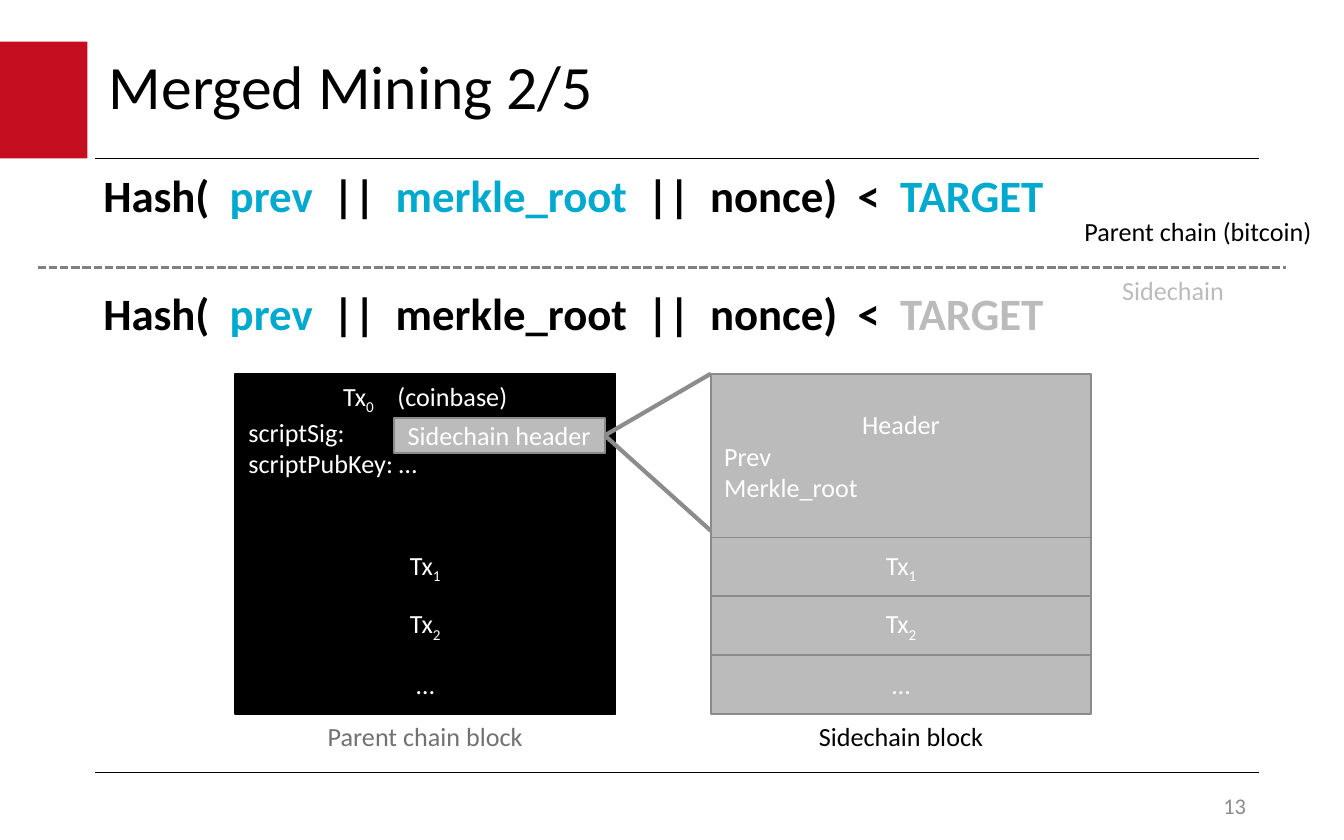
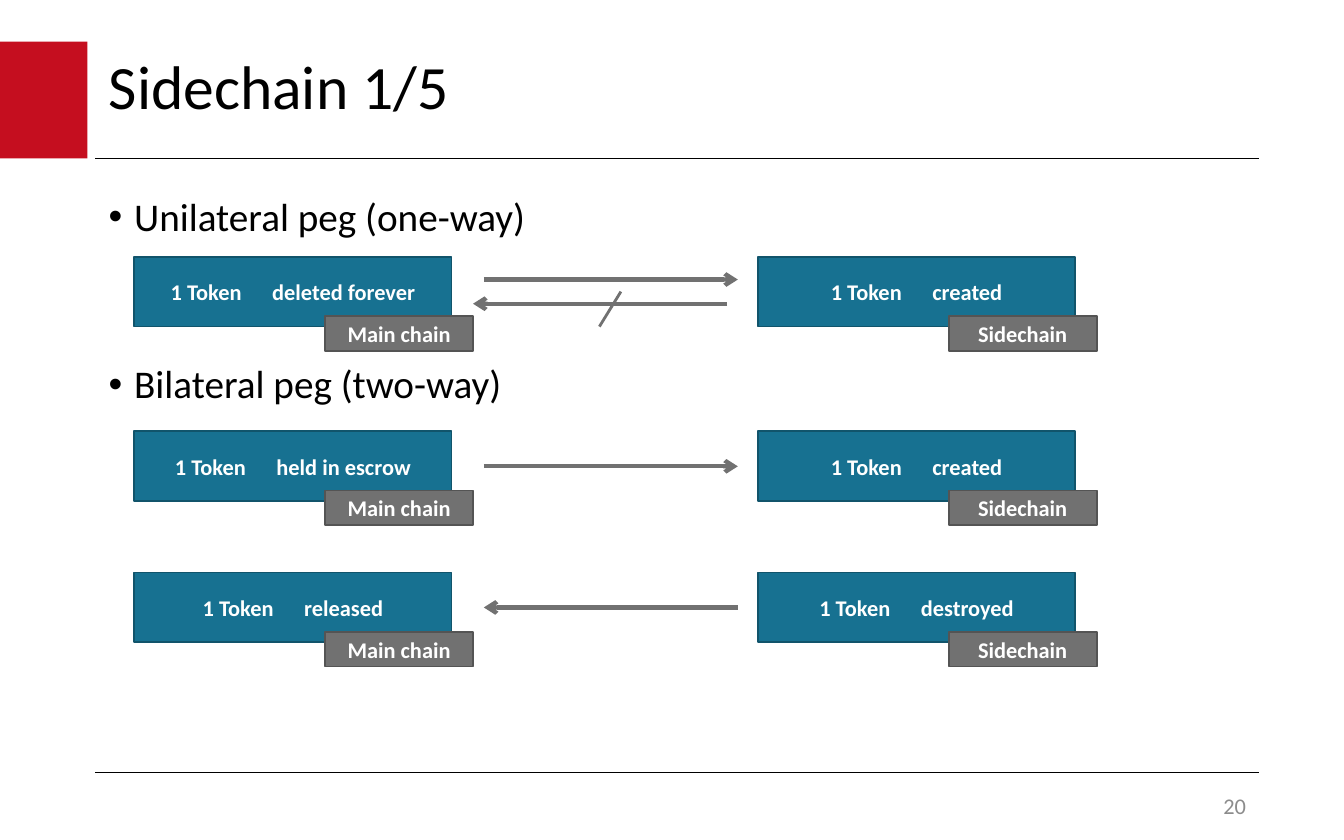
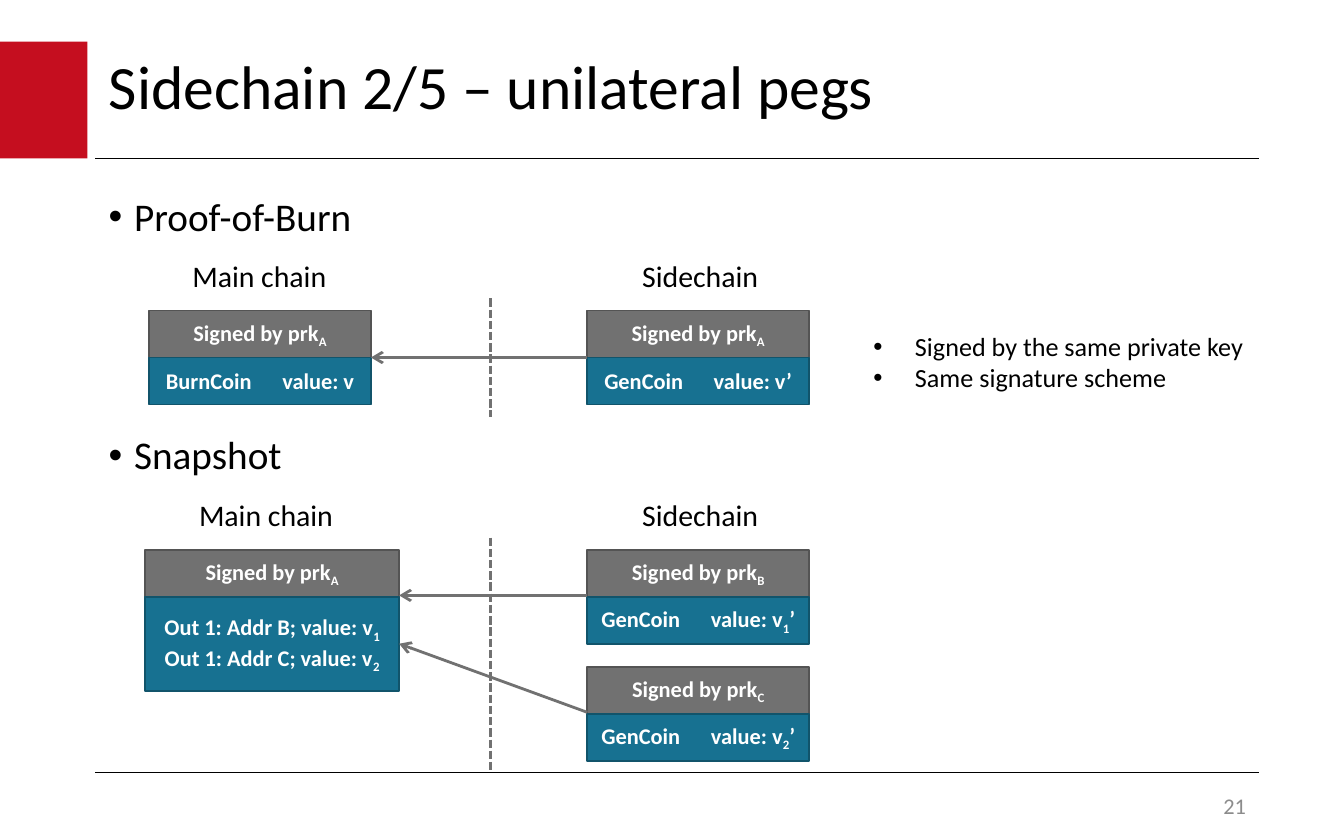
from dataclasses import dataclass, field
from typing import Any, List, Optional, Sequence, Union

from lxml.etree import SubElement
from pptx import Presentation
from pptx.dml.color import RGBColor
from pptx.enum.dml import MSO_LINE
from pptx.enum.shapes import MSO_CONNECTOR, MSO_SHAPE
from pptx.enum.text import MSO_ANCHOR, MSO_AUTO_SIZE, PP_ALIGN
from pptx.oxml.ns import qn
from pptx.util import Inches, Pt


# Theme: colours, font and type sizes
@dataclass(frozen=True)
class Theme:
    font: str = "Calibri"
    black: str = "000000"
    white: str = "FFFFFF"
    red: str = "C50E1F"
    cyan: str = "00A9CE"
    teal: str = "177191"
    teal_edge: str = "11546B"
    dark: str = "717171"
    dark_edge: str = "545454"
    light: str = "BBBBBB"
    light_edge: str = "8A8A8A"
    muted: str = "8C8C8C"
    divider: str = "808080"
    title: float = 33
    formula: float = 24
    body: float = 21
    label: float = 16
    normal: float = 14
    small: float = 12


THEME = Theme()


# Text model
@dataclass(frozen=True)
class Span:
    text: str
    color: Optional[str] = None
    subscript: bool = False
    spacing: float = 0


@dataclass(frozen=True)
class Line:
    spans: Sequence[Span]
    align: Any = PP_ALIGN.CENTER
    bullet_indent: float = 0
    space_before: float = 0
    line_spacing: float = 1


@dataclass(frozen=True)
class Style:
    size: float
    color: str = THEME.black
    bold: bool = False


@dataclass(frozen=True)
class Look:
    fill: str
    edge: str
    text: Style


@dataclass(frozen=True)
class Area:
    left: float
    top: float
    width: float
    height: float

    def lengths(self) -> List[int]:
        return [Inches(v) for v in (self.left, self.top, self.width, self.height)]


WHITE_NORMAL = Style(THEME.normal, THEME.white)
WHITE_BOLD = Style(THEME.small, THEME.white, True)
PARENT = Look(THEME.black, THEME.black, WHITE_NORMAL)
SIDE = Look(THEME.light, THEME.light_edge, WHITE_NORMAL)
TOKEN = Look(THEME.teal, THEME.teal_edge, WHITE_BOLD)
TAG = Look(THEME.dark, THEME.dark_edge, WHITE_BOLD)
LEFT = PP_ALIGN.LEFT
WORD_GAP = 13.6


def line(*parts: Union[str, Span], **options: Any) -> Line:
    """Make a paragraph from words and spans."""
    return Line([Span(p) if isinstance(p, str) else p for p in parts], **options)


def sub(text: str) -> Span:
    return Span(text, subscript=True)


def gap(points: float = WORD_GAP) -> Span:
    """One space widened by character spacing."""
    return Span(" ", spacing=points)


def rgb(color: str) -> RGBColor:
    return RGBColor.from_string(color)


def write(text_frame: Any, lines: Sequence[Line], style: Style) -> None:
    """Fill a text frame and format its runs."""
    for index, content in enumerate(lines):
        para = text_frame.paragraphs[0] if index == 0 else text_frame.add_paragraph()
        para.alignment = content.align
        para.line_spacing = content.line_spacing
        para.space_before = Pt(content.space_before)
        if content.bullet_indent:
            properties = para._p.get_or_add_pPr()
            properties.set("marL", str(Inches(content.bullet_indent)))
            properties.set("indent", str(-Inches(content.bullet_indent)))
            SubElement(properties, qn("a:buFont")).set("typeface", "Arial")
            SubElement(properties, qn("a:buChar")).set("char", "•")
        for span in content.spans:
            run = para.add_run()
            run.text = span.text
            run.font.name = THEME.font
            run.font.size = Pt(style.size)
            run.font.bold = style.bold
            run.font.color.rgb = rgb(span.color or style.color)
            properties = run._r.get_or_add_rPr()
            if span.subscript:
                properties.set("baseline", "-25000")
            if span.spacing:
                properties.set("spc", str(round(span.spacing * 100)))


def add_text(shapes: Any, area: Area, lines: Sequence[Line], style: Style,
             anchor: Any = MSO_ANCHOR.TOP, grow: bool = True) -> None:
    frame = shapes.add_textbox(*area.lengths()).text_frame
    frame.word_wrap = True
    frame.vertical_anchor = anchor
    frame.auto_size = MSO_AUTO_SIZE.SHAPE_TO_FIT_TEXT if grow else MSO_AUTO_SIZE.NONE
    write(frame, lines, style)


def add_box(shapes: Any, area: Area, look: Look, lines: Sequence[Line],
            anchor: Any = MSO_ANCHOR.MIDDLE) -> None:
    box = shapes.add_shape(MSO_SHAPE.RECTANGLE, *area.lengths())
    box.shadow.inherit = False
    box.fill.solid()
    box.fill.fore_color.rgb = rgb(look.fill)
    box.line.color.rgb = rgb(look.edge)
    box.line.width = Pt(1)
    box.text_frame.word_wrap = True
    box.text_frame.vertical_anchor = anchor
    write(box.text_frame, lines, look.text)


def add_line(shapes: Any, x1: float, y1: float, x2: float, y2: float, color: str,
             width: float, dashed: bool = False, arrow: bool = False) -> None:
    connector = shapes.add_connector(
        MSO_CONNECTOR.STRAIGHT, Inches(x1), Inches(y1), Inches(x2), Inches(y2))
    connector.line.color.rgb = rgb(color)
    connector.line.width = Pt(width)
    if dashed:
        connector.line.dash_style = MSO_LINE.SQUARE_DOT
    properties = connector.element.spPr
    if arrow:
        SubElement(properties.find(qn("a:ln")), qn("a:tailEnd")).set("type", "arrow")
    SubElement(properties, qn("a:effectLst"))


def add_page(deck: Any, title: str, number: int) -> Any:
    """Add a slide with the shared band, rules, title and page number."""
    page = deck.slides.add_slide(deck.slide_layouts[5])
    band = page.shapes.add_shape(MSO_SHAPE.RECTANGLE, *Area(0, 0.31, 0.65, 0.87).lengths())
    band.shadow.inherit = False
    band.fill.solid()
    band.fill.fore_color.rgb = rgb(THEME.red)
    band.line.fill.background()
    for y in (1.18, 5.75):
        add_line(page.shapes, 0.71, y, 9.37, y, THEME.black, 0.75)
    heading = page.shapes.title
    heading.left, heading.top, heading.width, heading.height = Area(
        0.71, 0.31, 8.66, 0.71).lengths()
    heading.text_frame.vertical_anchor = MSO_ANCHOR.MIDDLE
    heading.text_frame.auto_size = MSO_AUTO_SIZE.NONE
    write(heading.text_frame, [line(title, align=LEFT, line_spacing=0.9)], Style(THEME.title))
    add_text(page.shapes, Area(7.34, 5.87, 2.03, 0.25),
             [line(str(number), align=PP_ALIGN.RIGHT)],
             Style(THEME.small, THEME.muted), MSO_ANCHOR.MIDDLE, grow=False)
    return page


def add_bullets(page: Any, first: str, second: str, distance: float) -> None:
    """Two main points, the second set apart to leave room for a diagram."""
    points = [line(text, align=LEFT, bullet_indent=0.19, space_before=before, line_spacing=0.9)
              for text, before in ((first, 0), (second, distance))]
    add_text(page.shapes, Area(0.71, 1.42, 8.66, 4.21), points, Style(THEME.body), grow=False)


# Merged mining
def add_formula(page: Any, top: float, root_color: str, target_color: str) -> None:
    terms = [Span("Hash("), Span("prev", THEME.cyan), Span("||"),
             Span("merkle_root", root_color), Span("||"), Span("nonce)"),
             Span("<"), Span("TARGET", target_color)]
    spans = [terms[0]]
    for term in terms[1:]:
        spans += [gap(5.4), term]
    add_text(page.shapes, Area(0.67, top, 7.48, 0.5), [line(*spans, align=LEFT)],
             Style(THEME.formula, bold=True))


def add_block(page: Any, left: float, look: Look, head: Sequence[Line], anchor: Any,
              caption: str, caption_color: str) -> None:
    """A block: head cell, three transaction cells and a caption."""
    width, row = 2.83, 0.437
    add_box(page.shapes, Area(left, 2.78, width, 1.22), look, head, anchor)
    rows = [line("Tx", sub("1")), line("Tx", sub("2")), line("…")]
    for index, content in enumerate(rows):
        add_box(page.shapes, Area(left, 4 + index * row, width, row), look, [content])
    add_text(page.shapes, Area(left, 5.31, width, 0.34), [line(caption)],
             Style(THEME.normal, caption_color))


def build_merged_mining(deck: Any) -> None:
    page = add_page(deck, "Merged Mining 2/5", 13)
    shapes = page.shapes
    add_line(shapes, 0.28, 1.99, 9.57, 1.99, THEME.divider, 1.5, dashed=True)
    add_formula(page, 1.2, THEME.cyan, THEME.cyan)
    add_formula(page, 2.08, THEME.black, THEME.light)
    add_text(shapes, Area(7.97, 1.55, 2.03, 0.34),
             [line("Parent chain (bitcoin)", align=LEFT)], Style(THEME.normal))
    add_text(shapes, Area(8.25, 1.99, 1.55, 0.34),
             [line("Sidechain", align=LEFT)], Style(THEME.normal, THEME.light))
    add_block(page, 1.75, PARENT,
              [line("Tx", sub("0"), gap(9.4), "(coinbase)"),
               line("scriptSig:", align=LEFT), line("scriptPubKey: …", align=LEFT)],
              MSO_ANCHOR.TOP, "Parent chain block", THEME.dark)
    add_block(page, 5.29, SIDE,
              [line("Header"), line("Prev", align=LEFT), line("Merkle_root", align=LEFT)],
              MSO_ANCHOR.MIDDLE, "Sidechain block", THEME.black)
    add_box(shapes, Area(2.93, 3.11, 1.57, 0.26), SIDE, [line("Sidechain header")])
    for y in (2.78, 3.95):
        add_line(shapes, 4.5, 3.24, 5.29, y, THEME.muted, 2.25)


# Pegs between two chains
def add_token(shapes: Any, left: float, top: float, state: str, chain: str) -> None:
    """A token box with its chain tag on the lower right corner."""
    add_box(shapes, Area(left, top, 2.36, 0.52), TOKEN, [line("1 Token", gap(), state)])
    add_box(shapes, Area(left + 1.42, top + 0.44, 1.1, 0.26), TAG, [line(chain)])


def add_transfer(shapes: Any, top: float, main_state: str, side_state: str) -> None:
    add_token(shapes, 1, top, main_state, "Main chain")
    add_token(shapes, 5.64, top, side_state, "Sidechain")


def add_arrow(shapes: Any, start: float, end: float, y: float) -> None:
    add_line(shapes, start, y, end, y, THEME.dark, 2.25, arrow=True)


def build_pegs(deck: Any) -> None:
    page = add_page(deck, "Sidechain 1/5", 20)
    add_bullets(page, "Unilateral peg (one-way)", "Bilateral peg (two-way)", 67)
    one_way = page.shapes.add_group_shape().shapes
    add_transfer(one_way, 1.91, "deleted forever", "created")
    add_arrow(one_way, 3.6, 5.49, 2.08)
    add_arrow(one_way, 5.41, 3.52, 2.26)
    add_line(one_way, 4.46, 2.43, 4.62, 2.17, THEME.dark, 1.5)
    two_way = page.shapes.add_group_shape().shapes
    add_transfer(two_way, 3.21, "held in escrow", "created")
    add_arrow(two_way, 3.6, 5.49, 3.47)
    add_transfer(two_way, 4.26, "released", "destroyed")
    add_arrow(two_way, 5.49, 3.6, 4.52)


# Unilateral pegs
@dataclass(frozen=True)
class Transaction:
    left: float
    top: float
    signer: str
    outputs: Sequence[Line] = field(default_factory=list)
    width: float = 1.65


def add_transaction(page: Any, item: Transaction) -> None:
    """A signature cell above a cell with one row per output."""
    row = 0.35
    add_box(page.shapes, Area(item.left, item.top, item.width, row), TAG,
            [line("Signed by prk", sub(item.signer))])
    add_box(page.shapes,
            Area(item.left, item.top + row, item.width, row * len(item.outputs)),
            TOKEN, item.outputs)


def build_unilateral_pegs(deck: Any) -> None:
    page = add_page(deck, "Sidechain 2/5 – unilateral pegs", 21)
    shapes = page.shapes
    add_bullets(page, "Proof-of-Burn", "Snapshot", 105)
    main, side, wide = 1.11, 4.37, 1.89
    for top, main_center in ((1.87, 1.93), (3.65, 1.98)):
        for text, center in (("Main chain", main_center), ("Sidechain", 5.21)):
            add_text(shapes, Area(center - 0.8, top, 1.6, 0.37), [line(text)],
                     Style(THEME.label))
    for start, end in ((2.22, 3.1), (4, 5.75)):
        add_line(shapes, 3.65, start, 3.65, end, THEME.dark, 1.5, dashed=True)
    transactions = [
        Transaction(main, 2.31, "A", [line("BurnCoin", gap(), "value: v")]),
        Transaction(side, 2.31, "A", [line("GenCoin", gap(), "value: v’")]),
        Transaction(1.08, 4.09, "A", [line(f"Out 1: Addr {name}; value: v", sub(index))
                                      for name, index in (("B", "1"), ("C", "2"))], wide),
    ]
    for top, signer, index in ((4.09, "B", "1"), (4.96, "C", "2")):
        transactions.append(Transaction(
            side, top, signer, [line("GenCoin", gap(), "value: v", sub(index), "’")]))
    for item in transactions:
        add_transaction(page, item)
    for start_y, end_x, end_y in ((2.66, 2.76, 2.66), (4.43, 2.97, 4.43), (5.3, 2.97, 4.79)):
        add_line(shapes, side, start_y, end_x, end_y, THEME.dark, 1.5, arrow=True)
    add_text(shapes, Area(6.4, 2.41, 3.17, 0.57),
             [line(text, align=LEFT, bullet_indent=0.31)
              for text in ("Signed by the same private key", "Same signature scheme")],
             Style(THEME.normal))


deck = Presentation()
deck.slide_width, deck.slide_height = Inches(10), Inches(6.25)
build_merged_mining(deck)
build_pegs(deck)
build_unilateral_pegs(deck)
deck.save("out.pptx")
